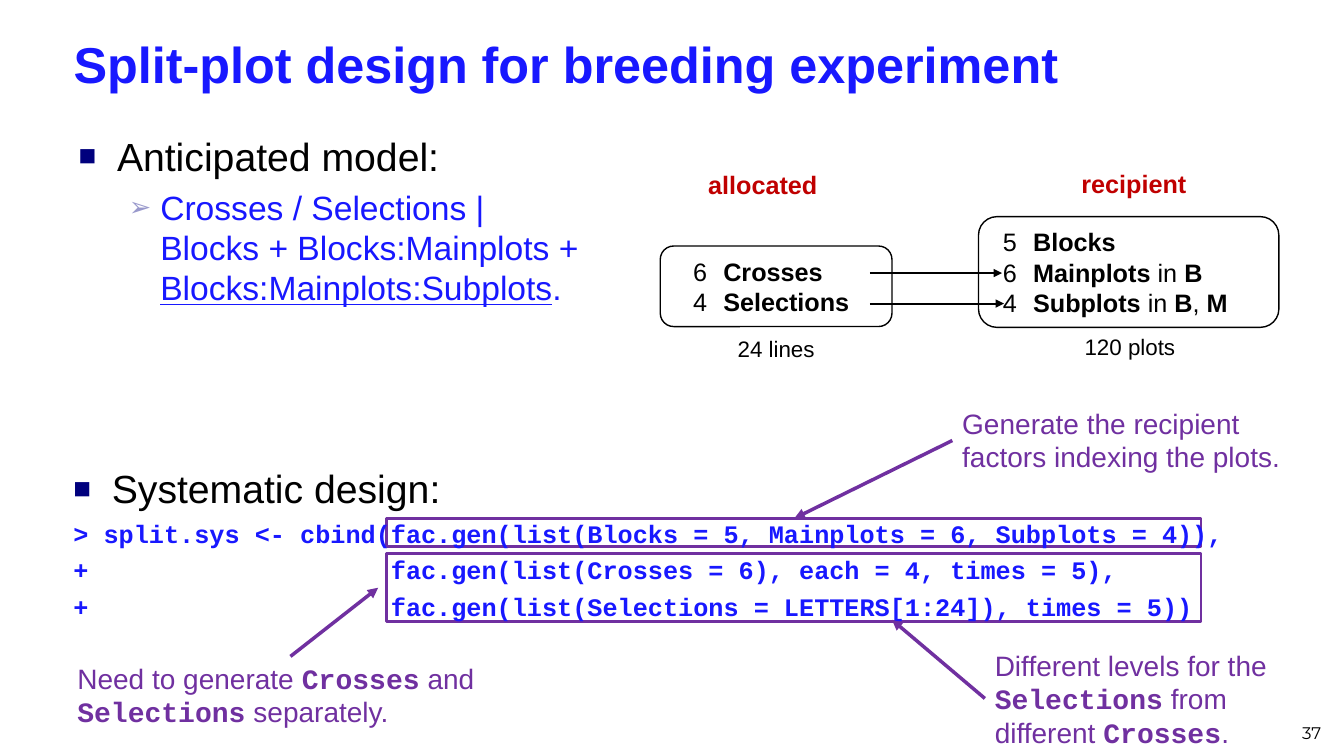
from dataclasses import dataclass
from typing import Optional

import pptx
import pptx.dml.color
import pptx.enum.shapes
import pptx.enum.text
import pptx.oxml.ns
import pptx.util
from lxml import etree
from pptx.dml.color import RGBColor
from pptx.enum.shapes import MSO_CONNECTOR, MSO_SHAPE
from pptx.enum.text import MSO_ANCHOR, PP_ALIGN
from pptx.oxml.ns import qn
from pptx.util import Cm

BLACK = RGBColor(0x00, 0x00, 0x00)
BLUE = RGBColor(0x18, 0x18, 0xFF)
RED = RGBColor(0xC0, 0x00, 0x00)
PURPLE = RGBColor(0x70, 0x30, 0xA0)
NAVY = RGBColor(0x00, 0x00, 0x7D)
LAVENDER = RGBColor(0x99, 0x99, 0xCC)
SANS = "Arial"
MONO = "Courier New"


@dataclass(frozen=True)
class Area:
    left: float
    top: float
    width: float
    height: float

    def lengths(self) -> tuple:
        return Cm(self.left), Cm(self.top), Cm(self.width), Cm(self.height)


@dataclass(frozen=True)
class Span:
    text: str
    bold: Optional[bool] = None
    font: Optional[str] = None
    underline: Optional[bool] = None


@dataclass(frozen=True)
class Bullet:
    symbol: str
    color: RGBColor
    percent: int


@dataclass(frozen=True)
class Para:
    spans: tuple
    size: float
    color: RGBColor = BLACK
    font: str = SANS
    bold: bool = False
    align: PP_ALIGN = PP_ALIGN.LEFT
    margin: float = 0
    hanging: float = 0
    before: float = 0
    bullet: Optional[Bullet] = None
    level: int = 0


@dataclass(frozen=True)
class Arrow:
    start: tuple
    end: tuple
    color: RGBColor
    width: float


@dataclass(frozen=True)
class Frame:
    area: Area
    shape: MSO_SHAPE
    color: RGBColor
    width: float
    paras: tuple = ()


@dataclass(frozen=True)
class Label:
    area: Area
    paras: tuple
    anchor: MSO_ANCHOR = MSO_ANCHOR.TOP


def format_para(para, content: Para) -> None:
    properties = para._p.get_or_add_pPr()
    properties.set("marL", str(Cm(content.margin)))
    properties.set("indent", str(Cm(-content.hanging)))
    para.level = content.level
    para.alignment = content.align
    para.space_before = pptx.util.Pt(content.before)
    if content.bullet:
        color = etree.SubElement(properties, qn("a:buClr"))
        etree.SubElement(color, qn("a:srgbClr"), val=str(content.bullet.color))
        etree.SubElement(properties, qn("a:buSzPct"), val=str(content.bullet.percent * 1000))
        etree.SubElement(properties, qn("a:buFont"), typeface=SANS)
        etree.SubElement(properties, qn("a:buChar"), char=content.bullet.symbol)
    else:
        etree.SubElement(properties, qn("a:buNone"))
    para.font.name = content.font
    para.font.size = pptx.util.Pt(content.size)
    para.font.color.rgb = content.color
    para.font.bold = content.bold


def write(frame, paras: tuple) -> None:
    for index, content in enumerate(paras):
        para = frame.add_paragraph() if index else frame.paragraphs[0]
        format_para(para, content)
        for span in content.spans:
            for number, line in enumerate(span.text.split("\n")):
                if number:
                    para.add_line_break()
                run = para.add_run()
                run.text = line
                run.font.bold = span.bold
                run.font.name = span.font
                run.font.underline = span.underline


def draw_label(page, label: Label) -> None:
    box = page.shapes.add_textbox(*label.area.lengths())
    box.text_frame.word_wrap = True
    box.text_frame.vertical_anchor = label.anchor
    write(box.text_frame, label.paras)


def draw_frame(page, frame: Frame) -> None:
    box = page.shapes.add_shape(frame.shape, *frame.area.lengths())
    box.shadow.inherit = False
    box.fill.background()
    box.line.color.rgb = frame.color
    box.line.width = pptx.util.Pt(frame.width)
    if frame.paras:
        box.text_frame.word_wrap = False
        box.text_frame.vertical_anchor = MSO_ANCHOR.MIDDLE
        write(box.text_frame, frame.paras)


def draw_arrow(page, arrow: Arrow) -> None:
    ends = [Cm(value) for value in arrow.start + arrow.end]
    line = page.shapes.add_connector(MSO_CONNECTOR.STRAIGHT, *ends)
    line.line.color.rgb = arrow.color
    line.line.width = pptx.util.Pt(arrow.width)
    etree.SubElement(line.line._get_or_add_ln(), qn("a:tailEnd"), type="triangle")
    etree.SubElement(line._element.spPr, qn("a:effectLst"))


def heading(text: str) -> Para:
    return Para((Span(text),), 28, margin=0.97, hanging=0.97, bullet=Bullet("■", NAVY, 75))


def code(text: str) -> Para:
    return Para((Span(text),), 18, BLUE, MONO, True, before=4.5)


def factor(count: int, *spans: Span, margin: float) -> Para:
    return Para((Span(f"{count}\t"),) + spans, 18, margin=margin, hanging=0.76)


def caption(text: str, size: float, color: RGBColor = BLACK, bold: bool = False) -> tuple:
    return (Para((Span(text),), size, color, bold=bold, align=PP_ALIGN.CENTER),)


def note(*spans: Span) -> tuple:
    return (Para(spans, 20, PURPLE),)


def strong(text: str) -> Span:
    return Span(text, bold=True)


def term(text: str) -> Span:
    return Span(text, bold=True, font=MONO)


TITLE = Para((Span("Split-plot design for breeding experiment"),), 36, BLUE, bold=True)
MODEL = Para(
    (Span("Crosses / Selections | \nBlocks + Blocks:Mainplots + "),
     Span("Blocks:Mainplots:Subplots", underline=True), Span(".")),
    24, BLUE, margin=2.06, hanging=0.79, before=5.5, bullet=Bullet("➢", LAVENDER, 80), level=1)
LABELS = (
    Label(Area(1.73, 3.2, 13.87, 5.11), (heading("Anticipated model:"), MODEL)),
    Label(Area(1.6, 11.58, 32, 4.42), (
        heading("Systematic design:"),
        code("> split.sys <- cbind(fac.gen(list(Blocks = 5, Mainplots = 6, Subplots = 4)),"),
        code("+                    fac.gen(list(Crosses = 6), each = 4, times = 5),"),
        code("+                    fac.gen(list(Selections = LETTERS[1:24]), times = 5))"))),
    Label(Area(17.37, 4.14, 3.71, 1.02), caption("allocated", 18, RED, True)),
    Label(Area(26.95, 4.11, 3.25, 1.02), caption("recipient", 18, RED, True)),
    Label(Area(16.31, 8.31, 6.5, 0.94), caption("24 lines", 16)),
    Label(Area(25.2, 8.28, 6.55, 0.94), caption("120 plots", 16)),
    Label(Area(24, 10.11, 8.86, 1.96),
          note(Span("Generate the recipient factors indexing the plots."))),
    Label(Area(24.82, 16.21, 8.36, 2.82),
          note(Span("Different levels for the "), term("Selections"),
               Span(" from different "), term("Crosses"), Span("."))),
    Label(Area(1.7, 16.54, 11.2, 1.96),
          note(Span("Need to generate "), term("Crosses"), Span(" and "),
               term("Selections"), Span(" separately."))),
    Label(Area(25.65, 17.58, 7.9, 1.27),
          (Para((Span("37"),), 12, font="Montserrat", align=PP_ALIGN.RIGHT),), MSO_ANCHOR.BOTTOM),
)
FRAMES = (
    Frame(Area(16.64, 6.2, 5.84, 2.03), MSO_SHAPE.ROUNDED_RECTANGLE, BLACK, 1, (
        factor(6, strong("Crosses"), margin=1.24),
        factor(4, strong("Selections"), margin=1.24))),
    Frame(Area(24.66, 5.46, 7.57, 2.79), MSO_SHAPE.ROUNDED_RECTANGLE, BLACK, 1, (
        factor(5, strong("Blocks"), margin=0.99),
        factor(6, strong("Mainplots"), Span(" in "), strong("B"), margin=0.99),
        factor(4, strong("Subplots"), Span(" in "), strong("B"), Span(", "), strong("M"),
               margin=0.99))),
    Frame(Area(9.75, 13.06, 20.52, 0.71), MSO_SHAPE.RECTANGLE, PURPLE, 2),
    Frame(Area(9.75, 13.94, 20.52, 1.73), MSO_SHAPE.RECTANGLE, PURPLE, 2),
)
ARROWS = (
    Arrow((21.92, 6.88), (25.25, 6.88), BLACK, 1.5),
    Arrow((21.92, 7.65), (25.3, 7.65), BLACK, 1.5),
    Arrow((24, 11.1), (20.02, 13.06), PURPLE, 2.5),
    Arrow((24.82, 17.6), (22.48, 15.62), PURPLE, 2.5),
    Arrow((7.32, 16.54), (9.53, 14.81), PURPLE, 2.5),
)


def main() -> None:
    deck = pptx.Presentation()
    deck.slide_width, deck.slide_height = Cm(33.87), Cm(19.05)
    page = deck.slides.add_slide(deck.slide_layouts.get_by_name("Title Only"))
    title = page.shapes.title
    title.left, title.top, title.width, title.height = Area(1.6, 0.58, 32, 2.01).lengths()
    title.text_frame.vertical_anchor = MSO_ANCHOR.MIDDLE
    write(title.text_frame, (TITLE,))
    for frame in FRAMES:
        draw_frame(page, frame)
    for label in LABELS:
        draw_label(page, label)
    for arrow in ARROWS:
        draw_arrow(page, arrow)
    deck.save("out.pptx")


if __name__ == "__main__":
    main()
